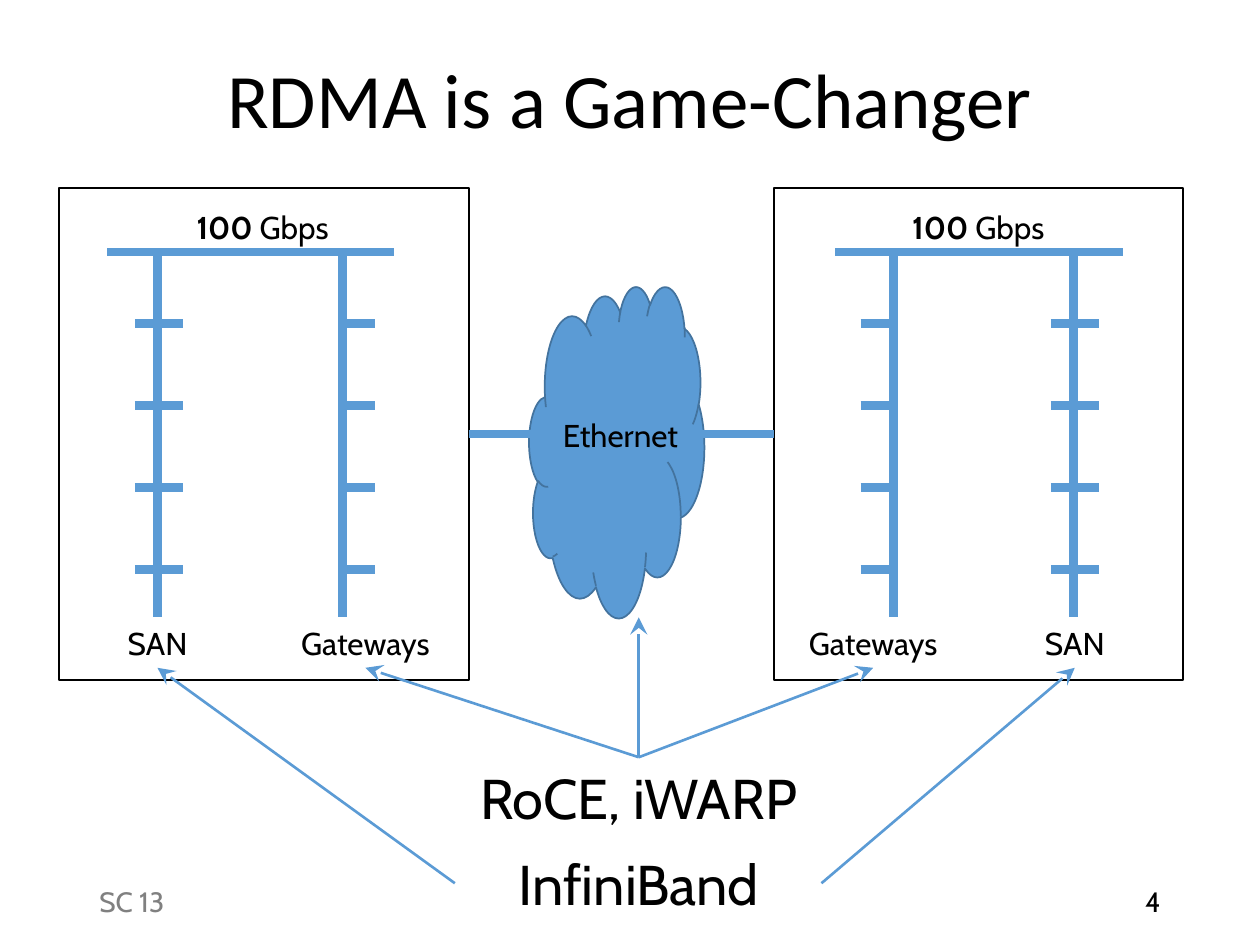
from lxml.etree import SubElement
from pptx import Presentation
from pptx.dml.color import RGBColor
from pptx.enum.shapes import MSO_CONNECTOR as Link, MSO_SHAPE as Shape
from pptx.enum.text import MSO_ANCHOR as Anchor, PP_ALIGN as Align
from pptx.oxml.ns import qn
from pptx.util import Inches, Pt

BLUE = RGBColor(0x5B, 0x9B, 0xD5)
EDGE = RGBColor(0x43, 0x73, 0x9E)
BLACK = RGBColor(0, 0, 0)
GRAY = RGBColor(0x80, 0x80, 0x80)

WIDTH, HEIGHT = 10, 7.5
TITLE = "RDMA is a Game-Changer"
SPEED = [("100 ", True), ("Gbps", False)]
SITES = [
    {"left": 0.47, "bus": 0.85, "speed": 2.08, "ladders": [
        {"label": "SAN", "rail": 1.25, "rungs": (-0.18, 0.2), "center": 1.25, "width": 0.95},
        {"label": "Gateways", "rail": 2.72, "rungs": (0, 0.26), "center": 2.9, "width": 2.03}]},
    {"left": 6.14, "bus": 6.63, "speed": 7.76, "ladders": [
        {"label": "Gateways", "rail": 7.09, "rungs": (-0.26, 0), "center": 6.93, "width": 2.03},
        {"label": "SAN", "rail": 8.52, "rungs": (-0.18, 0.2), "center": 8.53, "width": 0.95}]},
]
PROTOCOLS = [("RoCE, iWARP", 6.01), ("InfiniBand", 6.69)]
SITE_TOP, SITE_WIDTH, SITE_HEIGHT = 1.49, 3.25, 3.91
BUS_Y, BUS_WIDTH = 2, 2.28
RUNG_TOP, RUNG_PITCH, RUNG_COUNT = 2.57, 0.65, 4
LABEL_TOP, LABEL_HEIGHT = 4.9, 0.4
HUB = (5.07, 6.01)
ARROWS = [
    (HUB, (5.07, LABEL_TOP)),
    (HUB, (2.9, 5.3)),
    (HUB, (6.93, 5.3)),
    ((6.52, 7.01), (8.53, 5.3)),
    ((3.61, 7.01), (1.25, 5.3)),
]


def write(frame, text, size=18, font="Cabin", color=BLACK, align=Align.CENTER, anchor=Anchor.TOP):
    """Fill a text frame with one paragraph of plain text or (text, bold) runs."""
    frame.word_wrap = True
    frame.vertical_anchor = anchor
    paragraph = frame.paragraphs[0]
    paragraph.alignment = align
    for words, bold in [(text, False)] if isinstance(text, str) else text:
        run = paragraph.add_run()
        run.text = words
        run.font.size, run.font.name, run.font.bold = Pt(size), font, bold
        run.font.color.rgb = color
    return paragraph


def add_label(slide, text, left, top, width, height=LABEL_HEIGHT, **style):
    """Add a text box holding one line."""
    box = slide.shapes.add_textbox(*map(Inches, (left, top, width, height)))
    write(box.text_frame, text, **style)


def add_line(slide, start, end, weight=5, arrow=False):
    """Add a straight blue line, with a stealth head if it is an arrow."""
    line = slide.shapes.add_connector(Link.STRAIGHT, *map(Inches, (*start, *end)))
    line.line.color.rgb, line.line.width = BLUE, Pt(weight)
    if arrow:
        SubElement(line.line._get_or_add_ln(), qn("a:tailEnd"), type="stealth", w="lg", len="lg")
    SubElement(line._element.spPr, qn("a:effectLst"))
    return line


def add_outline(slide, kind, left, top, width, height, edge, fill=None):
    """Add a preset shape with a one-point outline."""
    shape = slide.shapes.add_shape(kind, *map(Inches, (left, top, width, height)))
    shape.shadow.inherit = False
    if fill is None:
        shape.fill.background()
    else:
        shape.fill.solid()
        shape.fill.fore_color.rgb = fill
    shape.line.color.rgb, shape.line.width = edge, Pt(1)
    return shape


def add_ladder(slide, ladder):
    """Add a vertical rail with its rungs and its label."""
    rail = ladder["rail"]
    add_line(slide, (rail, BUS_Y), (rail, LABEL_TOP))
    for row in range(RUNG_COUNT):
        y = RUNG_TOP + row * RUNG_PITCH
        start, end = ((rail + offset, y) for offset in ladder["rungs"])
        add_line(slide, start, end)
    add_label(slide, ladder["label"], ladder["center"] - ladder["width"] / 2, LABEL_TOP, ladder["width"])


def add_site(slide, site):
    """Add a framed site with its bus and ladders, and return the frame."""
    frame = add_outline(slide, Shape.RECTANGLE, site["left"], SITE_TOP, SITE_WIDTH, SITE_HEIGHT, BLACK)
    for ladder in site["ladders"]:
        add_ladder(slide, ladder)
    add_line(slide, (site["bus"], BUS_Y), (site["bus"] + BUS_WIDTH, BUS_Y))
    add_label(slide, SPEED, site["speed"] - 1.28, 1.6, 2.57)
    return frame


def main():
    """Build the slide and save it."""
    deck = Presentation()
    deck.slide_width, deck.slide_height = Inches(WIDTH), Inches(HEIGHT)
    slide = deck.slides.add_slide(deck.slide_layouts[5])
    title = slide.shapes.title
    title.left, title.top, title.width, title.height = map(Inches, (0.69, 0.1, 8.62, 1.45))
    write(title.text_frame, TITLE, size=44, font="Calibri", anchor=Anchor.MIDDLE).line_spacing = 0.9

    add_outline(slide, Shape.CLOUD, 4.2, 2.27, 1.39, 2.63, EDGE, BLUE)
    left_site, right_site = [add_site(slide, site) for site in SITES]
    network = add_line(slide, (3.72, 3.44), (6.14, 3.44))
    network.begin_connect(left_site, 3)
    network.end_connect(right_site, 1)
    add_label(slide, "Ethernet", 3.64, 3.25, 2.57)
    for protocol, top in PROTOCOLS:
        add_label(slide, protocol, 3.61, top, 2.92, 0.64, size=32)
    for start, end in ARROWS:
        add_line(slide, start, end, weight=1.5, arrow=True)

    add_label(slide, "SC 13", 0.69, 6.95, 3.38, size=16, color=GRAY, align=Align.LEFT, anchor=Anchor.MIDDLE)
    add_label(slide, "4", 7.06, 6.95, 2.25, size=16, align=Align.RIGHT, anchor=Anchor.MIDDLE)
    deck.save("out.pptx")


if __name__ == "__main__":
    main()
